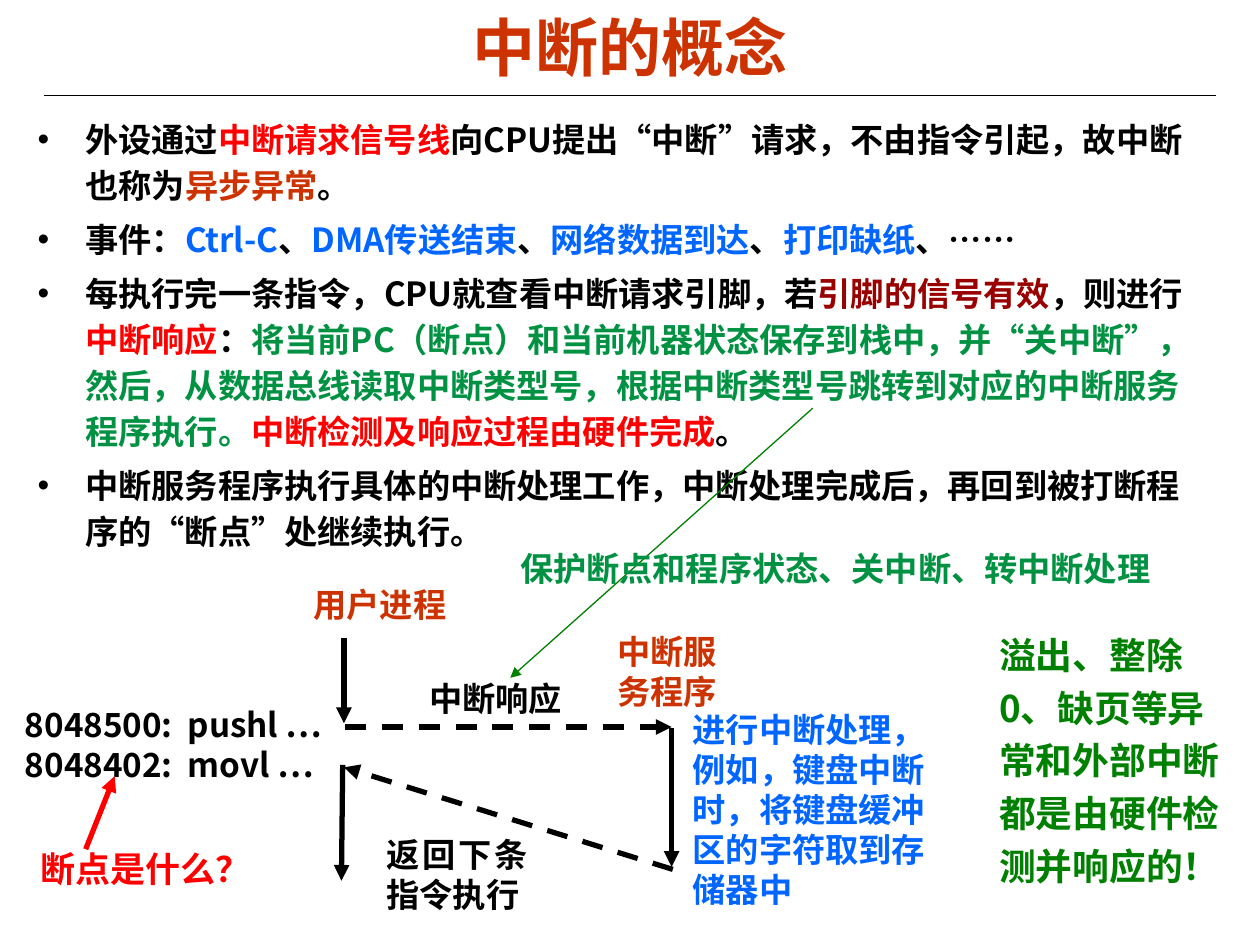
import pptx
import pptx.util
import pptx.dml.color
import pptx.enum.dml
import pptx.enum.shapes
import pptx.enum.text
import pptx.oxml
import pptx.oxml.ns
import lxml.etree

Inches = pptx.util.Inches
Pt = pptx.util.Pt
RGBColor = pptx.dml.color.RGBColor
ALIGN = pptx.enum.text.PP_ALIGN
qn = pptx.oxml.ns.qn

BLACK = RGBColor(0x00, 0x00, 0x00)
RED = RGBColor(0xFF, 0x00, 0x00)
RUST = RGBColor(0xCC, 0x33, 0x00)
DARK_RED = RGBColor(0x99, 0x00, 0x00)
BLUE = RGBColor(0x00, 0x66, 0xFF)
GREEN = RGBColor(0x00, 0x92, 0x42)
DARK_GREEN = RGBColor(0x00, 0x80, 0x00)
CJK = "Noto Sans CJK SC"
LATIN = "Arial"

deck = pptx.Presentation()
deck.slide_width = Inches(10)
deck.slide_height = Inches(7.5)
slide = deck.slides.add_slide(deck.slide_layouts[6])


def add_text(box, paragraphs, size=19, font=CJK, align=ALIGN.LEFT,
             inset=(0.1, 0.05), wrap=True):
    """Add a text box; each paragraph is a list of (text, colour) runs."""
    frame = slide.shapes.add_textbox(*map(Inches, box)).text_frame
    frame.word_wrap = wrap
    frame.margin_left = frame.margin_right = Inches(inset[0])
    frame.margin_top = frame.margin_bottom = Inches(inset[1])
    for index, runs in enumerate(paragraphs):
        paragraph = frame.add_paragraph() if index else frame.paragraphs[0]
        paragraph.alignment = align
        for text, colour in runs:
            run = paragraph.add_run()
            run.text = text
            run.font.size = Pt(size)
            run.font.bold = True
            run.font.name = font
            run.font.color.rgb = colour
            east_asian = lxml.etree.SubElement(run.font._element, qn("a:ea"))
            east_asian.set("typeface", CJK)
    return frame


def add_line(start, end, colour=BLACK, width=3, dashed=False, arrow=True):
    """Add a straight line, by default with an arrowhead at its end."""
    line = slide.shapes.add_connector(
        pptx.enum.shapes.MSO_CONNECTOR.STRAIGHT,
        *map(Inches, start), *map(Inches, end))
    line.line.color.rgb = colour
    line.line.width = Pt(width)
    if dashed:
        line.line.dash_style = pptx.enum.dml.MSO_LINE.DASH
    if arrow:
        head = lxml.etree.SubElement(line.line._get_or_add_ln(), qn("a:tailEnd"))
        head.set("type", "triangle")
    lxml.etree.SubElement(line._element.spPr, qn("a:effectLst"))


# Title and rule
add_line((0.35, 0.76), (9.65, 0.76), width=0.75, arrow=False)
title = add_text((0.5, 0.06, 9, 0.61), [[("中断的概念", RUST)]],
                 size=36, font=LATIN, align=ALIGN.CENTER)
title.vertical_anchor = pptx.enum.text.MSO_ANCHOR.MIDDLE

# Bulleted explanation
concepts = add_text((0.2, 0.85, 9.49, 3.68), [
    [("外设通过", BLACK), ("中断请求信号线", RED),
     ("向CPU提出“中断”请求，不由指令引起，故中断也称为", BLACK),
     ("异步异常", RUST), ("。", BLACK)],
    [("事件：", BLACK), ("Ctrl-C", BLUE), ("、", BLACK),
     ("DMA传送结束", BLUE), ("、", BLACK), ("网络数据到达", BLUE),
     ("、", BLACK), ("打印缺纸", BLUE), ("、……", BLACK)],
    [("每执行完一条指令，CPU就查看中断请求引脚，若", BLACK),
     ("引脚的信号有效", DARK_RED), ("，则进行", BLACK),
     ("中断响应", RED), ("：", BLACK),
     ("将当前PC（断点）和当前机器状态保存到栈中，并“关中断”，然后，"
      "从数据总线读取中断类型号，根据中断类型号跳转到对应的中断服务程序执行。", GREEN),
     ("中断检测及响应过程由硬件完成", RED), ("。", BLACK)],
    [("中断服务程序执行具体的中断处理工作，中断处理完成后，"
      "再回到被打断程序的“断点”处继续执行。", BLACK)],
])
for index, concept in enumerate(concepts.paragraphs):
    concept.line_spacing = 1.15
    concept.space_before = Pt(4.8 if index else 0)
    properties = concept._p.get_or_add_pPr()
    properties.set("marL", str(Inches(0.38)))
    properties.set("indent", str(-Inches(0.38)))
    bullet_colour = lxml.etree.SubElement(properties, qn("a:buClr"))
    lxml.etree.SubElement(bullet_colour, qn("a:srgbClr")).set("val", str(BLACK))
    lxml.etree.SubElement(properties, qn("a:buFont")).set("typeface", LATIN)
    lxml.etree.SubElement(properties, qn("a:buChar")).set("char", "•")

# Remark on hardware detection
remark = add_text(
    (7.93, 4.95, 1.77, 2.1),
    [[("溢出、整除0、缺页等异常和外部中断都是由硬件检测并响应的！", DARK_GREEN)]],
    size=21, inset=(0, 0))
remark.paragraphs[0].line_spacing = 1.2

# Flow diagram: labels
add_text((2.39, 4.64, 1.41, 0.23), [[("用户进程", RUST)]],
         align=ALIGN.JUSTIFY, inset=(0.1, 0), wrap=False)
add_text((4.8, 4.96, 1.08, 0.72), [[("中断服务程序", RUST)]])
add_text((3.31, 5.33, 1.25, 0.41), [[("中断响应", BLACK)]],
         align=ALIGN.JUSTIFY, wrap=False)
add_text((5.4, 5.58, 2.24, 1.68),
         [[("进行中断处理，例如，键盘中断时，将键盘缓冲区的字符取到存储器中", BLUE)]])
add_text((2.97, 6.57, 1.32, 0.73), [[("返回下条指令执行", BLACK)]],
         align=ALIGN.JUSTIFY)
add_text((0.1, 5.54, 2.9, 0.74),
         [[("8048500:  pushl …", BLACK)], [("8048402:  movl …", BLACK)]],
         align=ALIGN.JUSTIFY)

# Flow diagram: user process, response, service routine, return, resume
add_line((2.73, 5.06), (2.73, 5.74))
add_line((2.74, 5.77), (5.33, 5.77), dashed=True)
add_line((5.33, 5.78), (5.33, 6.88))
add_line((5.34, 6.9), (2.73, 6.09), dashed=True)
add_line((2.72, 6.07), (2.71, 6.99))

# Breakpoint question
add_text((0.22, 6.68, 2.08, 0.44), [[("断点是什么？", RED)]], size=20, font=LATIN)
add_line((0.68, 6.74), (0.91, 6.16), colour=RED)

# Note on the interrupt response
add_line((6.45, 3.24), (4.05, 5.38), colour=DARK_GREEN, width=0.75)
add_text((4.03, 4.3, 5.27, 0.42),
         [[("保护断点和程序状态、关中断、转中断处理", GREEN)]], font=LATIN)

deck.save("out.pptx")
